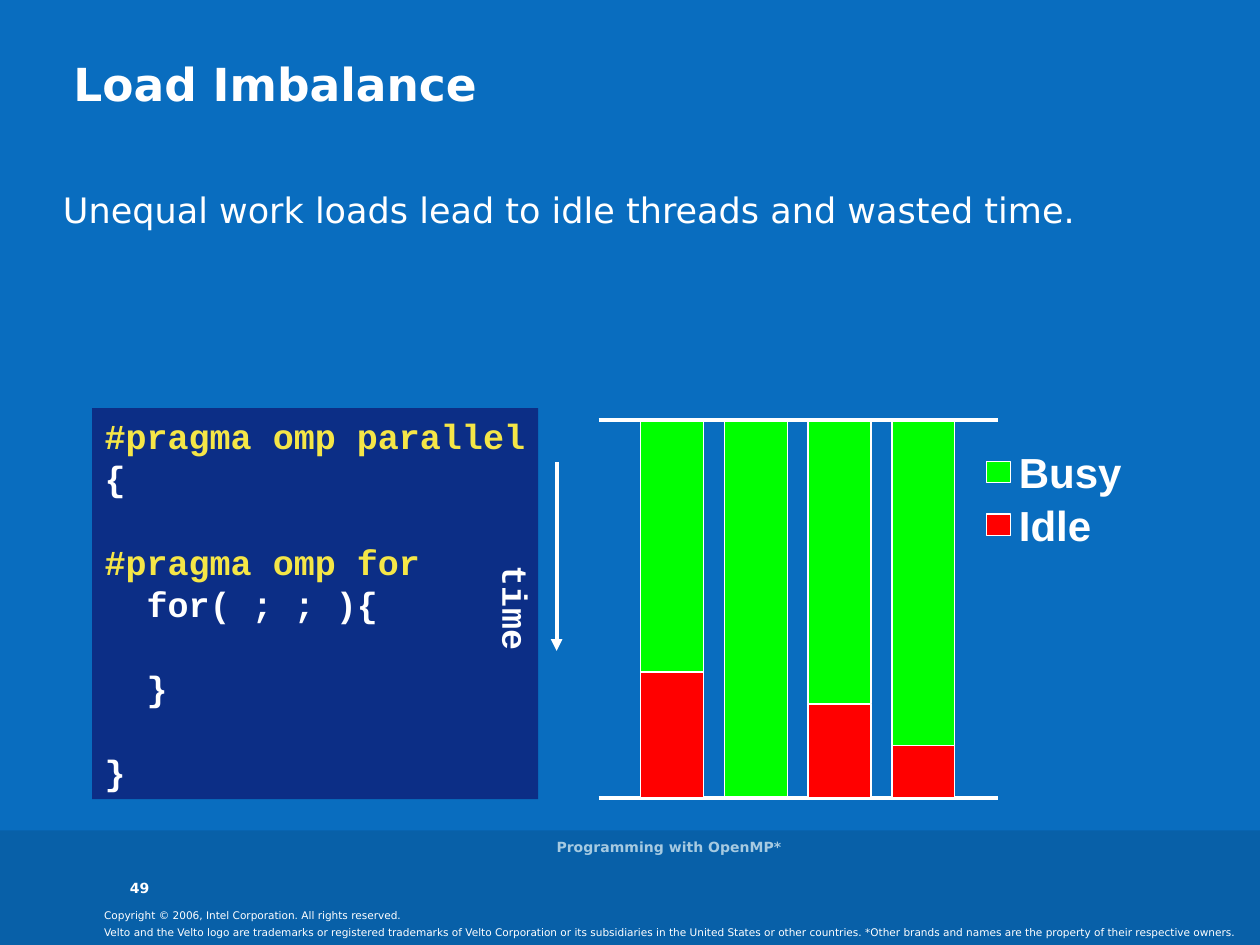
import pptx
import pptx.dml.color
import pptx.enum.shapes
import pptx.enum.text
import pptx.oxml
import pptx.oxml.ns
import pptx.util

Cm = pptx.util.Cm
Pt = pptx.util.Pt
ALIGN = pptx.enum.text.PP_ALIGN
ANCHOR = pptx.enum.text.MSO_ANCHOR
HUES = {
    "back": "096DBF", "foot": "0860A8", "code": "0C2E86", "white": "FFFFFF",
    "pale": "A6CAE1", "key": "F5E647", "busy": "00FF00", "idle": "FF0000",
}
SANS, MONO = "DejaVu Sans", "Courier New"
CODE = ["#pragma omp parallel", "{", "", "#pragma omp for", "  for( ; ; ){",
        "", "  }", "", "}"]
BUSY = [5.08, 7.62, 5.72, 6.56]
TOP, SPAN = 8.47, 7.62
LEFT, STEP, WIDE = 12.91, 1.69, 1.27


def tint(name):
    return pptx.dml.color.RGBColor.from_string(HUES[name])


def assign(item, values):
    for name, value in values.items():
        setattr(item, name, value)


def write(frame, lines, size, face=SANS, hue="white", bold=False,
          align=ALIGN.LEFT, anchor=ANCHOR.TOP, pad=(0, 0), wrap=True):
    """Fill a frame; lines that start with # take the key colour."""
    across, down = map(Cm, pad)
    assign(frame, {
        "margin_left": across, "margin_right": across,
        "margin_top": down, "margin_bottom": down,
        "auto_size": pptx.enum.text.MSO_AUTO_SIZE.NONE,
        "vertical_anchor": anchor, "word_wrap": wrap,
    })
    for index, line in enumerate(lines):
        para = frame.add_paragraph() if index else frame.paragraphs[0]
        para.alignment = align
        assign(para.font, {"size": Pt(size), "name": face, "bold": bold})
        para.font.color.rgb = tint("key" if line.startswith("#") else hue)
        if line:
            para.add_run().text = line


def label(slide, area, text, size, **style):
    box = slide.shapes.add_textbox(*map(Cm, area))
    write(box.text_frame, [text], size, **style)
    return box


def block(slide, area, hue, edge=True):
    kind = pptx.enum.shapes.MSO_SHAPE.RECTANGLE
    shape = slide.shapes.add_shape(kind, *map(Cm, area))
    shape.shadow.inherit = False
    shape.fill.solid()
    shape.fill.fore_color.rgb = tint(hue)
    if edge:
        shape.line.color.rgb = tint("white")
        shape.line.width = Pt(0.75)
    else:
        shape.line.fill.background()
    return shape


def rule(slide, ends, arrow=False):
    kind = pptx.enum.shapes.MSO_CONNECTOR.STRAIGHT
    line = slide.shapes.add_connector(kind, *map(Cm, ends))
    line.line.color.rgb = tint("white")
    line.line.width = Pt(2.25)
    if arrow:
        head = pptx.oxml.parse_xml(
            f'<a:tailEnd {pptx.oxml.ns.nsdecls("a")} type="triangle"/>')
        line.line._get_or_add_ln().append(head)
    none = pptx.oxml.parse_xml(f'<a:effectLst {pptx.oxml.ns.nsdecls("a")}/>')
    line._element.spPr.append(none)


def footer(slide):
    block(slide, (0, 16.74, 25.4, 2.31), "foot", edge=False)
    label(slide, (1.85, 18.19, 18.31, 0.5),
          "Copyright © 2006, Intel Corporation. All rights reserved.",
          6, pad=(0.25, 0.13))
    label(slide, (1.85, 18.54, 23.55, 0.5),
          "Velto and the Velto logo are trademarks or registered trademarks of "
          "Velto Corporation or its subsidiaries in the United States or other "
          "countries. *Other brands and names are the property of their "
          "respective owners.", 6, pad=(0.25, 0.13))
    label(slide, (2.62, 17.22, 1.14, 0.84), "49", 8, bold=True,
          anchor=ANCHOR.BOTTOM)
    label(slide, (8.41, 16.66, 10.16, 0.84), "Programming with OpenMP*", 8,
          hue="pale", bold=True, align=ALIGN.CENTER, anchor=ANCHOR.MIDDLE)


def heading(slide):
    title = slide.shapes.title
    assign(title, {"left": Cm(1.48), "top": Cm(1.12),
                   "width": Cm(22.89), "height": Cm(1.09)})
    write(title.text_frame, ["Load Imbalance"], 26, bold=True)
    label(slide, (1.27, 3.81, 22.28, 11.38),
          "Unequal work loads lead to idle threads and wasted time.", 20)


def bars(slide):
    for index, busy in enumerate(BUSY):
        block(slide, (LEFT + index * STEP, TOP, WIDE, busy), "busy")
    for level in (TOP, TOP + SPAN):
        rule(slide, (12.07, level, 20.11, level))
    for index, busy in enumerate(BUSY):
        if busy < SPAN:
            block(slide, (LEFT + index * STEP, TOP + busy, WIDE, SPAN - busy),
                  "idle")


def legend(slide):
    for index, (text, hue) in enumerate((("Busy", "busy"), ("Idle", "idle"))):
        top = 9.3 + index * 1.06
        block(slide, (19.89, top, 0.48, 0.43), hue)
        label(slide, (20.54, top - 0.4, 3, 1.23), text, 24, face="Arial",
              bold=True, anchor=ANCHOR.MIDDLE)


def code(slide):
    panel = block(slide, (1.86, 8.23, 8.99, 7.88), "code", edge=False)
    write(panel.text_frame, CODE, 20, face=MONO, bold=True,
          pad=(0.25, 0.13), wrap=False)
    rule(slide, (11.22, 9.31, 11.22, 13.12), arrow=True)
    time = label(slide, (9.3, 11.71, 2.21, 1.11), "time", 20, face=MONO,
                 bold=True, pad=(0.25, 0.13), wrap=False)
    time.rotation = 90


def main():
    deck = pptx.Presentation()
    assign(deck, {"slide_width": Cm(25.4), "slide_height": Cm(19.05)})
    slide = deck.slides.add_slide(deck.slide_layouts[5])
    slide.background.fill.solid()
    slide.background.fill.fore_color.rgb = tint("back")
    for part in (footer, heading, bars, legend, code):
        part(slide)
    deck.save("out.pptx")


if __name__ == "__main__":
    main()
